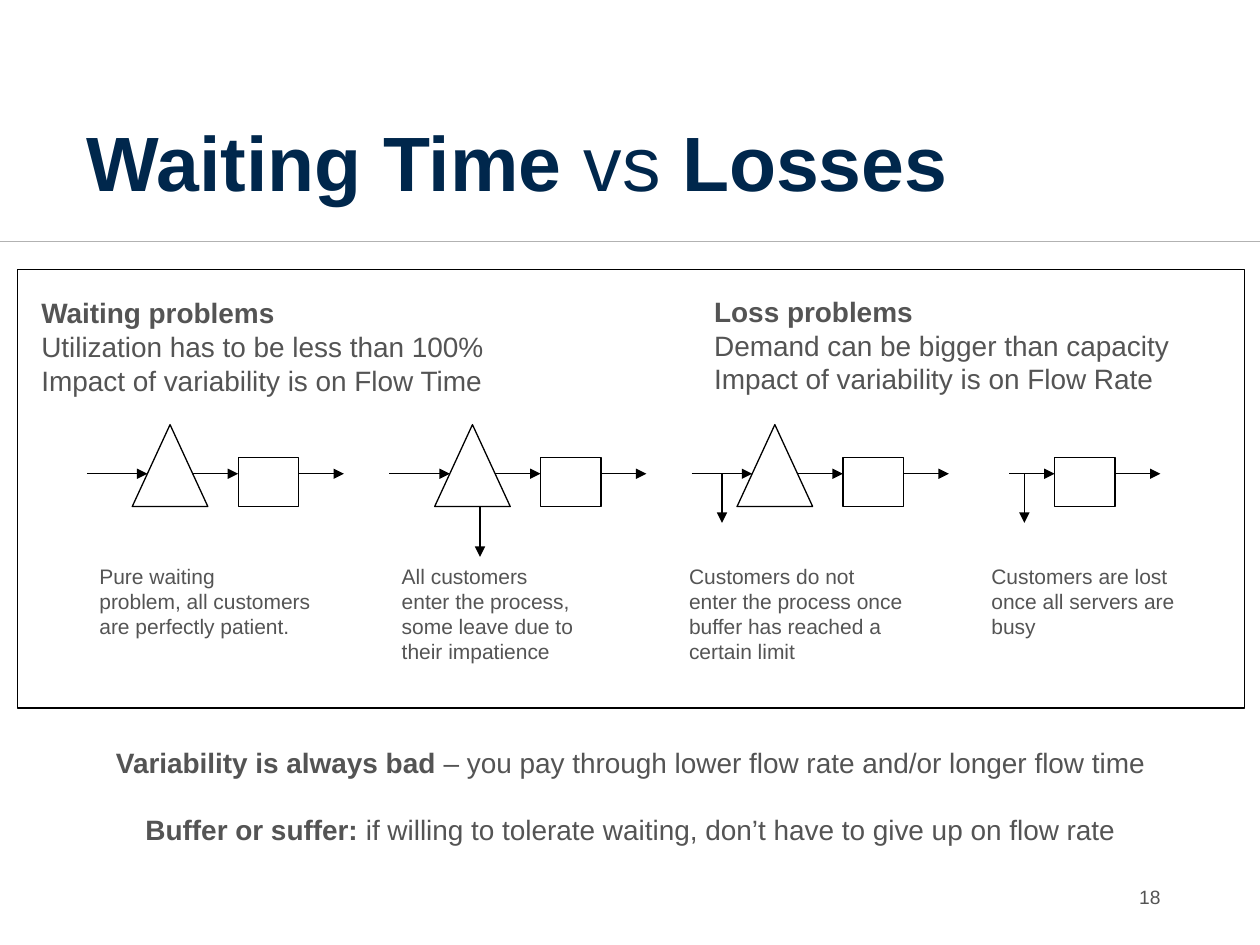
import pptx
import pptx.util
import pptx.dml.color
import pptx.enum.shapes
import pptx.enum.text
import pptx.oxml.ns
from lxml import etree

Inches = pptx.util.Inches
Pt = pptx.util.Pt
RGB = pptx.dml.color.RGBColor
SHAPE = pptx.enum.shapes.MSO_SHAPE
LINK = pptx.enum.shapes.MSO_CONNECTOR
ALIGN = pptx.enum.text.PP_ALIGN
ANCHOR = pptx.enum.text.MSO_ANCHOR
qn = pptx.oxml.ns.qn

NAVY = RGB(0x00, 0x27, 0x4C)
GRAY = RGB(0x54, 0x54, 0x54)
SILVER = RGB(0xB2, 0xB2, 0xB2)
BLACK = RGB(0, 0, 0)
WHITE = RGB(255, 255, 255)


class Canvas:
    def __init__(self, slide):
        self.slide = slide
        self.font = "Arial"

    def shape(self, kind, left, top, width, height, fill=None, line=BLACK):
        item = self.slide.shapes.add_shape(
            kind, Inches(left), Inches(top), Inches(width), Inches(height))
        item.shadow.inherit = False
        if fill is None:
            item.fill.background()
        else:
            item.fill.solid()
            item.fill.fore_color.rgb = fill
        if line is None:
            item.line.fill.background()
        else:
            item.line.color.rgb = line
            item.line.width = Pt(0.75)
        return item

    def line(self, x1, y1, x2, y2, color=BLACK, width=0.75, arrow=True):
        item = self.slide.shapes.add_connector(
            LINK.STRAIGHT, Inches(x1), Inches(y1), Inches(x2), Inches(y2))
        item.line.color.rgb = color
        item.line.width = Pt(width)
        props = item._element.spPr
        if arrow:
            stroke = props.find(qn("a:ln"))
            etree.SubElement(stroke, qn("a:tailEnd"), type="triangle")
        etree.SubElement(props, qn("a:effectLst"))

    def place(self, frame, rows, size, color=GRAY, align=ALIGN.LEFT, gap=0):
        """Fill a frame; each row is a string or a list of (text, bold) runs."""
        for index, row in enumerate(rows):
            para = frame.paragraphs[0] if index == 0 else frame.add_paragraph()
            para.alignment = align
            para.font.name = self.font
            para.font.size = Pt(size)
            para.font.color.rgb = color
            if index:
                para.space_before = Pt(gap)
            if isinstance(row, str):
                para.text = row
                continue
            for text, bold in row:
                run = para.add_run()
                run.text = text
                run.font.bold = bold

    def text(self, left, top, width, height, rows, size, wrap=True, **style):
        box = self.slide.shapes.add_textbox(
            Inches(left), Inches(top), Inches(width), Inches(height))
        frame = box.text_frame
        frame.word_wrap = wrap
        self.place(frame, rows, size, **style)
        return frame

    def flow(self, left, queue, leak):
        """Draw one process: optional queue, server, arrows and leak."""
        axis, base = 3.76, 4.02
        if queue:
            server = left + 1.2
            self.shape(SHAPE.ISOSCELES_TRIANGLE, left + 0.36, 3.37, 0.6, 0.65)
            self.line(left, axis, left + 0.48, axis)
            self.line(left + 0.84, axis, server, axis)
        else:
            server = left + 0.48
            self.line(left + 0.12, axis, server, axis)
        self.shape(SHAPE.RECTANGLE, server, 3.63, 0.48, 0.39)
        self.line(server + 0.48, axis, server + 0.84, axis)
        if leak == "queue":
            self.line(left + 0.72, base, left + 0.72, base + 0.4)
        elif leak == "entry":
            self.line(left + 0.24, axis, left + 0.24, axis + 0.39)


FLOWS = [
    (True, None, 0, 1.89,
     "Pure waiting\nproblem, all customers\nare perfectly patient."),
    (True, "queue", 0, 1.57,
     "All customers\nenter the process,\nsome leave due to\ntheir impatience"),
    (True, "entry", -0.12, 1.91,
     "Customers do not\nenter the process once\nbuffer has reached a\ncertain limit"),
    (False, "entry", -0.12, 1.67,
     "Customers are lost\nonce all servers are\nbusy"),
]

HEADS = [
    (0.23, 2.3, 4.5, "Waiting problems",
     "Utilization has to be less than 100%",
     "Impact of variability is on Flow Time"),
    (5.57, 2.29, 4.16, "Loss problems",
     "Demand can be bigger than capacity",
     "Impact of variability is on Flow Rate"),
]


def main():
    deck = pptx.Presentation()
    deck.slide_width, deck.slide_height = Inches(10), Inches(7.5)
    art = Canvas(deck.slides.add_slide(deck.slide_layouts[6]))

    art.line(0, 1.92, 10, 1.92, color=SILVER, width=0.5, arrow=False)
    lesson = art.shape(SHAPE.RECTANGLE, 0.25, 5.87, 9.51, 1.45, WHITE, None)
    lesson.text_frame.word_wrap = True
    lesson.text_frame.vertical_anchor = ANCHOR.TOP
    art.place(lesson.text_frame, [
        [("Variability is always bad ", True),
         ("– you pay through lower flow rate and/or longer flow time", False)],
        [("Buffer or suffer: ", True),
         ("if willing to tolerate waiting, don’t have to give up on flow rate",
          False)],
    ], 16, align=ALIGN.CENTER, gap=19)
    art.shape(SHAPE.RECTANGLE, 0.14, 2.14, 9.74, 3.48, WHITE)

    title = art.text(0.69, 0.4, 8.62, 1.45, [
        [("Waiting Time ", True), ("vs ", False), ("Losses", True)],
    ], 44, color=NAVY)
    title.vertical_anchor = ANCHOR.BOTTOM
    title.margin_left, title.margin_bottom = 0, Inches(0.2)
    title.paragraphs[0].line_spacing = 0.9

    number = art.text(8.47, 6.92, 0.84, 0.4, ["18"], 11, align=ALIGN.RIGHT)
    number.vertical_anchor = ANCHOR.MIDDLE

    for left, top, width, head, *rest in HEADS:
        art.text(left, top, width, 0.91, [[(head, True)], *rest], 16)

    for index, (queue, leak, shift, width, note) in enumerate(FLOWS):
        left = 0.69 + 2.4 * index
        art.flow(left, queue, leak)
        art.text(left + shift, 4.42, width, 0.91, [note], 12, wrap=False)

    deck.save("out.pptx")


if __name__ == "__main__":
    main()
